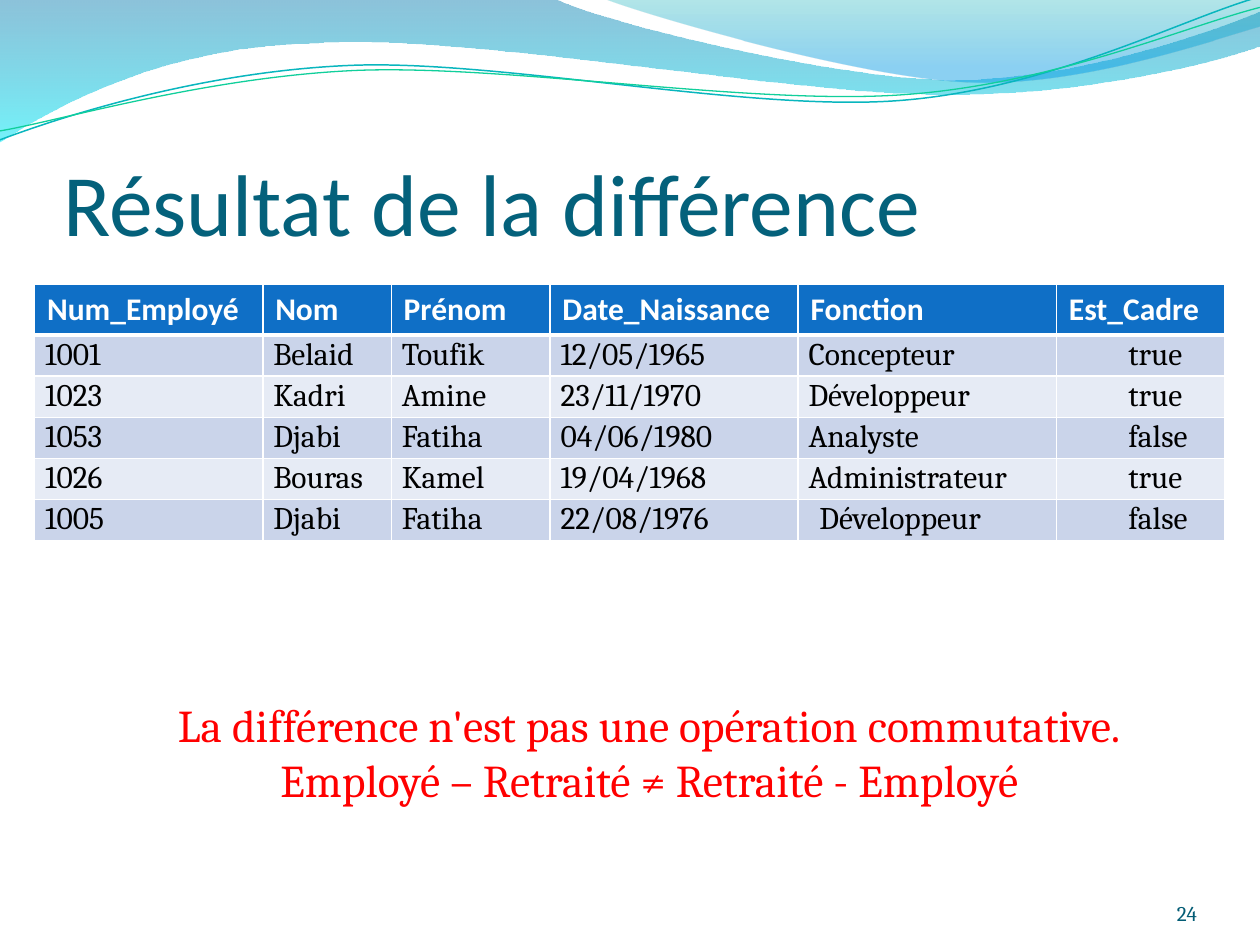
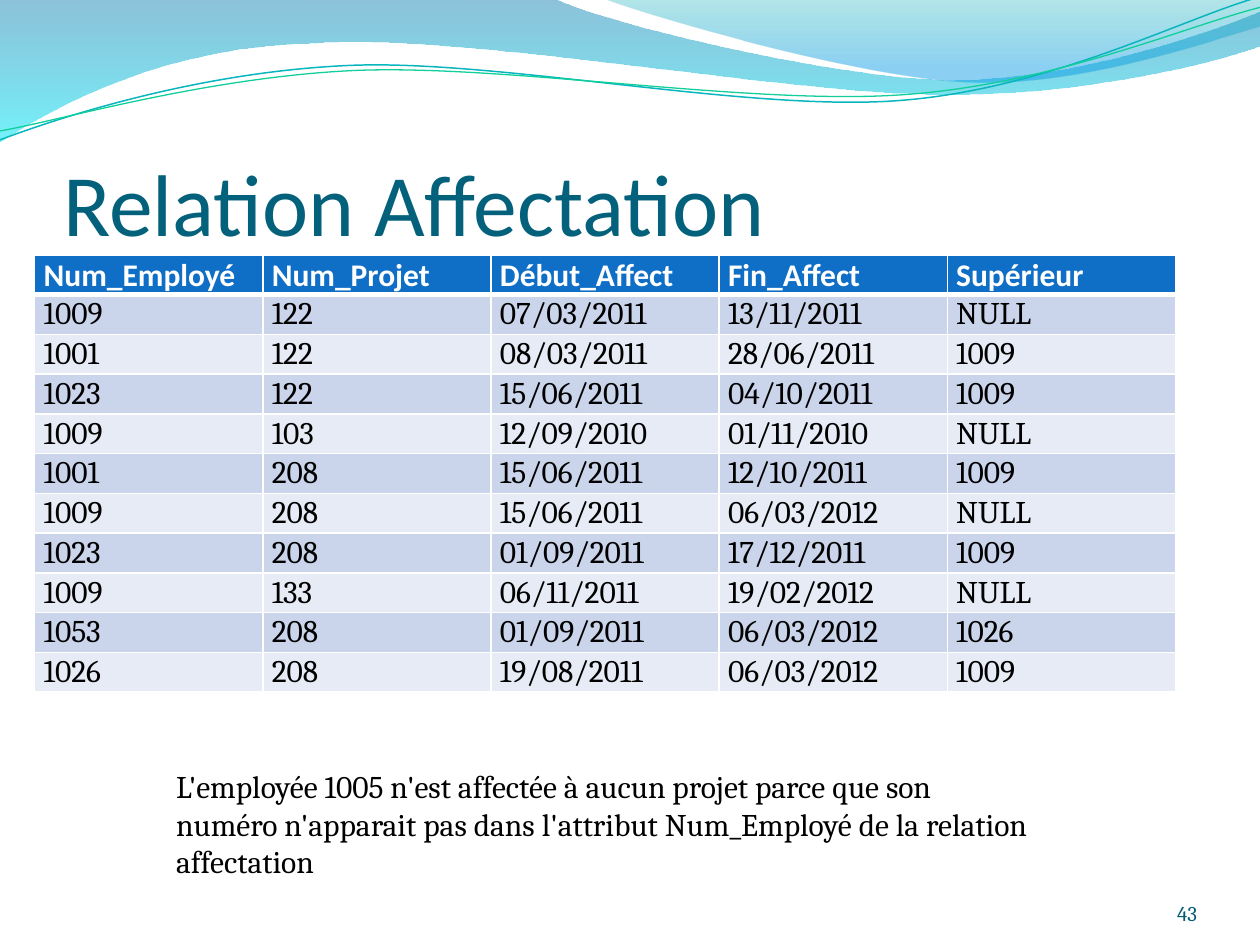
"""Build two slides on relational tables: a difference result and an assignment relation."""
import dataclasses

import lxml.etree
import pptx
import pptx.dml.color
import pptx.enum.text
import pptx.oxml.ns
import pptx.util

Cm = pptx.util.Cm
Pt = pptx.util.Pt
qn = pptx.oxml.ns.qn
rgb = pptx.dml.color.RGBColor.from_string
Align = pptx.enum.text.PP_ALIGN
Anchor = pptx.enum.text.MSO_ANCHOR
AutoSize = pptx.enum.text.MSO_AUTO_SIZE


@dataclasses.dataclass(frozen=True)
class Theme:
    heading_font: str = "Calibri"
    body_font: str = "Cambria"
    title_size: int = 50
    table_size: int = 18
    number_size: int = 12
    title: str = "04617B"
    number: str = "035C75"
    text: str = "000000"
    alert: str = "FF0000"
    header: str = "0F6FC6"
    white: str = "FFFFFF"
    bands: tuple = ("CAD4EA", "E6EBF5")


theme = Theme()


def draw_wave(slide, start, segments, close):
    """Draw an outline of lines (one point) and Bézier curves (three points)."""
    builder = slide.shapes.build_freeform(Cm(start[0]), Cm(start[1]))
    builder.add_line_segments([(Cm(x), Cm(y)) for x, y in (s[-1] for s in segments)], close=close)
    shape = builder.convert_to_shape()
    shape.shadow.inherit = False
    for element, segment in zip(list(shape.element.iter(qn("a:lnTo"))), segments):
        if len(segment) == 3:
            curve = lxml.etree.Element(qn("a:cubicBezTo"))
            for x, y in segment:
                lxml.etree.SubElement(
                    curve, qn("a:pt"), x=str(Cm(x) - shape.left), y=str(Cm(y) - shape.top))
            element.getparent().replace(element, curve)
    return shape


def write(shape, lines, font, size, color, alignment, anchor, margins):
    """Fill a text shape with uniformly formatted paragraphs."""
    frame = shape.text_frame
    frame.word_wrap = True
    frame.vertical_anchor = anchor
    frame.margin_left, frame.margin_top, frame.margin_right, frame.margin_bottom = map(Cm, margins)
    frame.text = "\n".join(lines)
    for paragraph in frame.paragraphs:
        paragraph.alignment = alignment
        paragraph.font.name = font
        paragraph.font.size = Pt(size)
        paragraph.font.color.rgb = rgb(color)


filled_waves = [
    ((0, 0), [
        [(11.18, -0.03)],
        [(12.09, 0.43), (16.87, 1.6), (19.25, 1.6)],
        [(21.67, 1.6), (24.33, 0.66), (25.4, 0.23)],
        [(25.43, 0.91)],
        [(24.97, 1.12), (22.1, 1.93), (18.95, 1.9)],
        [(15.8, 1.9), (9.7, 0.71), (6.53, 0.86)],
        [(3.28, 0.91), (1.17, 2.11), (-0.03, 2.87)],
    ], [(0, "0079AD", 45), (1, "00E9F7", 55)]),
    ((12.17, -0.03), [
        [(12.93, 0.28), (17.32, 1.57), (19.53, 1.65)],
        [(21.74, 1.75), (24.41, 0.81), (25.4, 0.53)],
        [(25.4, 0)],
    ], [(0, "00ABB4", 30), (0.8, "0099E4", 45)]),
]
line_waves = [
    ((0, 2.82), [
        [(1.22, 2.36), (4.01, 1.45), (7.04, 1.32)],
        [(10.03, 1.19), (15.06, 2.26), (18.11, 2.03)],
        [(21.16, 1.8), (23.83, 0.38), (25.35, -0.05)],
    ], "09B6BE", 0.85),
    ((0, 2.64), [
        [(1.19, 2.44), (4.17, 1.55), (7.19, 1.42)],
        [(10.24, 1.3), (15.16, 2.13), (18.21, 1.91)],
        [(21.23, 1.7), (23.9, 0.53), (25.4, 0.15)],
    ], "10CF9B", 0.75),
]

pages = [
    {
        "title": "Résultat de la différence",
        "number": "24",
        "table_top": 5.73,
        "columns": [4.6, 2.59, 3.2, 5, 5.21, 3.4],
        "row_height": 0.83,
        "header_margins": (0.25, 0.13),
        "header_spacing": 1.0,
        "body_indent": 0.03,
        "indents": {(row, 5): 1.27 for row in range(1, 6)} | {(5, 4): 0.25},
        "rows": [
            ["Num_Employé", "Nom", "Prénom", "Date_Naissance", "Fonction", "Est_Cadre"],
            ["1001", "Belaid", "Toufik", "12/05/1965", "Concepteur", "true"],
            ["1023", "Kadri", "Amine", "23/11/1970", "Développeur", "true"],
            ["1053", "Djabi", "Fatiha", "04/06/1980", "Analyste", "false"],
            ["1026", "Bouras", "Kamel", "19/04/1968", "Administrateur", "true"],
            ["1005", "Djabi", "Fatiha", "22/08/1976", "Développeur", "false"],
        ],
        "note": ["La différence n'est pas une opération commutative.",
                 "Employé – Retraité ≠ Retraité - Employé"],
        "note_box": (2.7, 13.93, 20.8, 2.49),
        "note_style": (26, theme.alert, Align.CENTER),
    },
    {
        "title": "Relation Affectation",
        "number": "43",
        "table_top": 5.14,
        "columns": [4.6] * 5,
        "row_height": 0.8,
        "header_margins": (0.18, 0),
        "header_spacing": 1.05,
        "body_indent": 0,
        "indents": {},
        "rows": [
            ["Num_Employé", "Num_Projet", "Début_Affect", "Fin_Affect", "Supérieur"],
            ["1009", "122", "07/03/2011", "13/11/2011", "NULL"],
            ["1001", "122", "08/03/2011", "28/06/2011", "1009"],
            ["1023", "122", "15/06/2011", "04/10/2011", "1009"],
            ["1009", "103", "12/09/2010", "01/11/2010", "NULL"],
            ["1001", "208", "15/06/2011", "12/10/2011", "1009"],
            ["1009", "208", "15/06/2011", "06/03/2012", "NULL"],
            ["1023", "208", "01/09/2011", "17/12/2011", "1009"],
            ["1009", "133", "06/11/2011", "19/02/2012", "NULL"],
            ["1053", "208", "01/09/2011", "06/03/2012", "1026"],
            ["1026", "208", "19/08/2011", "06/03/2012", "1009"],
        ],
        "note": ["L'employée 1005 n'est affectée à aucun projet parce que son numéro "
                 "n'apparait pas dans l'attribut Num_Employé de la relation affectation"],
        "note_box": (3.3, 15.33, 17.81, 2.57),
        "note_style": (18, theme.text, Align.LEFT),
    },
]

presentation = pptx.Presentation()
presentation.slide_width = Cm(25.4)
presentation.slide_height = Cm(19.05)
layout = presentation.slide_layouts[5]
slides = [presentation.slides.add_slide(layout) for page in pages]

waves = []
for start, segments, stops in filled_waves:
    wave = draw_wave(slides[0], start, segments, close=True)
    wave.line.fill.background()
    wave.fill.gradient()
    wave.fill.gradient_angle = 270
    for stop, (position, color, opacity) in zip(wave.fill.gradient_stops, stops):
        stop.position = position
        stop.color.rgb = rgb(color)
    for element, (position, color, opacity) in zip(wave.element.iter(qn("a:srgbClr")), stops):
        lxml.etree.SubElement(element, qn("a:alpha"), val=str(opacity * 1000))
    waves.append(wave)
for start, segments, color, width in line_waves:
    wave = draw_wave(slides[0], start, segments, close=False)
    wave.fill.background()
    wave.line.color.rgb = rgb(color)
    wave.line.width = Pt(width)
    waves.append(wave)
for index, wave in enumerate(waves):
    layout.shapes.element.insert(2 + index, wave.element)

for slide, page in zip(slides, pages):
    title = slide.shapes.title
    title.left, title.top, title.width, title.height = map(Cm, (1.27, 1.95, 22.86, 3.18))
    title.text_frame.auto_size = AutoSize.NONE
    write(title, [page["title"]], theme.heading_font, theme.title_size, theme.title,
          Align.LEFT, Anchor.BOTTOM, (0, 0.13, 0, 0))

    number = slide.shapes.add_textbox(*map(Cm, (22.02, 17.65, 2.11, 1.02)))
    write(number, [page["number"]], theme.body_font, theme.number_size, theme.number,
          Align.RIGHT, Anchor.BOTTOM, (0, 0, 0, 0))

    rows, columns = page["rows"], page["columns"]
    table = slide.shapes.add_table(
        len(rows), len(columns), Cm(0.7), Cm(page["table_top"]),
        Cm(sum(columns)), Cm(page["row_height"] * len(rows))).table
    for column, width in zip(table.columns, columns):
        column.width = Cm(width)
    for row_index, values in enumerate(rows):
        table.rows[row_index].height = Cm(page["row_height"])
        is_header = row_index == 0
        side, edge = page["header_margins"] if is_header else (0.18, 0)
        for column_index, value in enumerate(values):
            cell = table.cell(row_index, column_index)
            cell.text = value
            cell.margin_left = cell.margin_right = Cm(side)
            cell.margin_top = cell.margin_bottom = Cm(edge)
            properties = cell._tc.get_or_add_tcPr()
            for border in ("lnL", "lnR", "lnT", "lnB"):
                is_thick = (row_index, border) in ((0, "lnB"), (1, "lnT"))
                line = lxml.etree.SubElement(
                    properties, qn("a:" + border), w=str(Pt(3 if is_thick else 1)))
                fill = lxml.etree.SubElement(line, qn("a:solidFill"))
                lxml.etree.SubElement(fill, qn("a:srgbClr"), val=theme.white)
            cell.fill.solid()
            cell.fill.fore_color.rgb = rgb(
                theme.header if is_header else theme.bands[(row_index - 1) % 2])
            paragraph = cell.text_frame.paragraphs[0]
            indent = page["indents"].get(
                (row_index, column_index), 0 if is_header else page["body_indent"])
            paragraph._p.get_or_add_pPr().set("marL", str(Cm(indent)))
            paragraph.line_spacing = page["header_spacing"] if is_header else 1.05
            paragraph.font.name = theme.heading_font if is_header else theme.body_font
            paragraph.font.size = Pt(theme.table_size)
            paragraph.font.bold = is_header
            paragraph.font.color.rgb = rgb(theme.white if is_header else theme.text)

    note = slide.shapes.add_textbox(*map(Cm, page["note_box"]))
    note.text_frame.auto_size = AutoSize.SHAPE_TO_FIT_TEXT
    size, color, alignment = page["note_style"]
    write(note, page["note"], theme.body_font, size, color,
          alignment, Anchor.TOP, (0.25, 0.13, 0.25, 0.13))

presentation.save("out.pptx")
